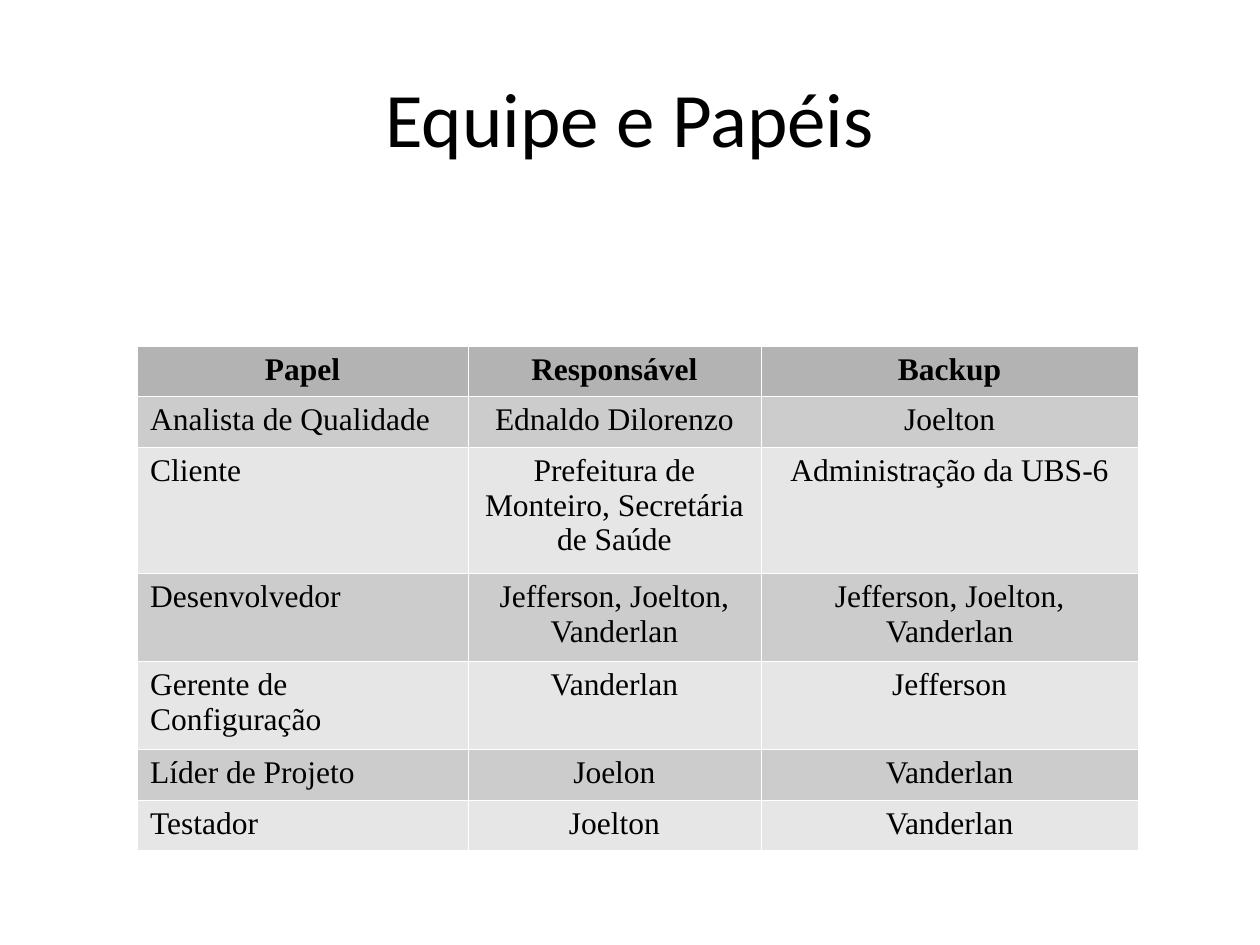
from pptx import Presentation
from pptx.dml.color import RGBColor
from pptx.enum import text
from pptx.oxml import parse_xml
from pptx.oxml.ns import nsdecls
from pptx.util import Pt

BLACK = RGBColor(0, 0, 0)
HEAD = RGBColor(0xB3, 0xB3, 0xB3)
BANDS = (RGBColor(0xE6, 0xE6, 0xE6), RGBColor(0xCC, 0xCC, 0xCC))
EDGE = RGBColor(0xFF, 0xFF, 0xFF)

COLS = (188.6, 167.8, 215.3)
LINE, PAD = 20.1, 7.2
TEAM = (
    (1, "Papel", "Responsável", "Backup"),
    (1, "Analista de Qualidade", "Ednaldo Dilorenzo", "Joelton"),
    (3, "Cliente", "Prefeitura de Monteiro, Secretária de Saúde", "Administração da UBS-6"),
    (2, "Desenvolvedor", "Jefferson, Joelton, Vanderlan", "Jefferson, Joelton, Vanderlan"),
    (2, "Gerente de Configuração", "Vanderlan", "Jefferson"),
    (1, "Líder de Projeto", "Joelon", "Vanderlan"),
    (1, "Testador", "Joelton", "Vanderlan"),
)


def write(frame, words, size, face, align, bold=False):
    """Put one styled run in the first paragraph of a frame."""
    para = frame.paragraphs[0]
    para.alignment = align
    run = para.add_run()
    run.text = words
    font = run.font
    font.size, font.name, font.bold = Pt(size), face, bold
    font.color.rgb = BLACK


def edge(cell):
    """Draw a hairline on all four sides of a cell."""
    props = cell._tc.get_or_add_tcPr()
    for spot, side in enumerate(("lnL", "lnR", "lnT", "lnB")):
        props.insert(spot, parse_xml(
            f'<a:{side} {nsdecls("a")} w="{Pt(0.06)}"><a:solidFill>'
            f'<a:srgbClr val="{EDGE}"/></a:solidFill></a:{side}>'))


def add_title(slide, left, top, width, height):
    """Place the centred slide title in its box."""
    box = slide.shapes.add_textbox(Pt(left), Pt(top), Pt(width), Pt(height))
    frame = box.text_frame
    frame.word_wrap = True
    frame.vertical_anchor = text.MSO_ANCHOR.MIDDLE
    write(frame, "Equipe e Papéis", 44, "Calibri", text.PP_ALIGN.CENTER)


def add_team(slide, left, top):
    """Place the table of roles with its top left corner at a point."""
    highs = [PAD + LINE * row[0] for row in TEAM]
    grid = slide.shapes.add_table(
        len(TEAM), len(COLS), Pt(left), Pt(top), Pt(sum(COLS)), Pt(sum(highs))).table
    for col, width in zip(grid.columns, COLS):
        col.width = Pt(width)
    for r, (row, high) in enumerate(zip(TEAM, highs)):
        grid.rows[r].height = Pt(high)
        for c, words in enumerate(row[1:]):
            cell = grid.cell(r, c)
            cell.fill.solid()
            cell.fill.fore_color.rgb = BANDS[r % 2] if r else HEAD
            edge(cell)
            align = text.PP_ALIGN.LEFT if r and c == 0 else text.PP_ALIGN.CENTER
            write(cell.text_frame, words, 18, "Times New Roman", align, r == 0)


def main():
    """Build the slide and save it."""
    deck = Presentation()
    deck.slide_width, deck.slide_height = Pt(720), Pt(540)
    slide = deck.slides.add_slide(deck.slide_layouts[6])
    add_title(slide, 36, 21.6, 648, 90)
    add_team(slide, 78.6, 197.6)
    deck.save("out.pptx")


if __name__ == "__main__":
    main()
